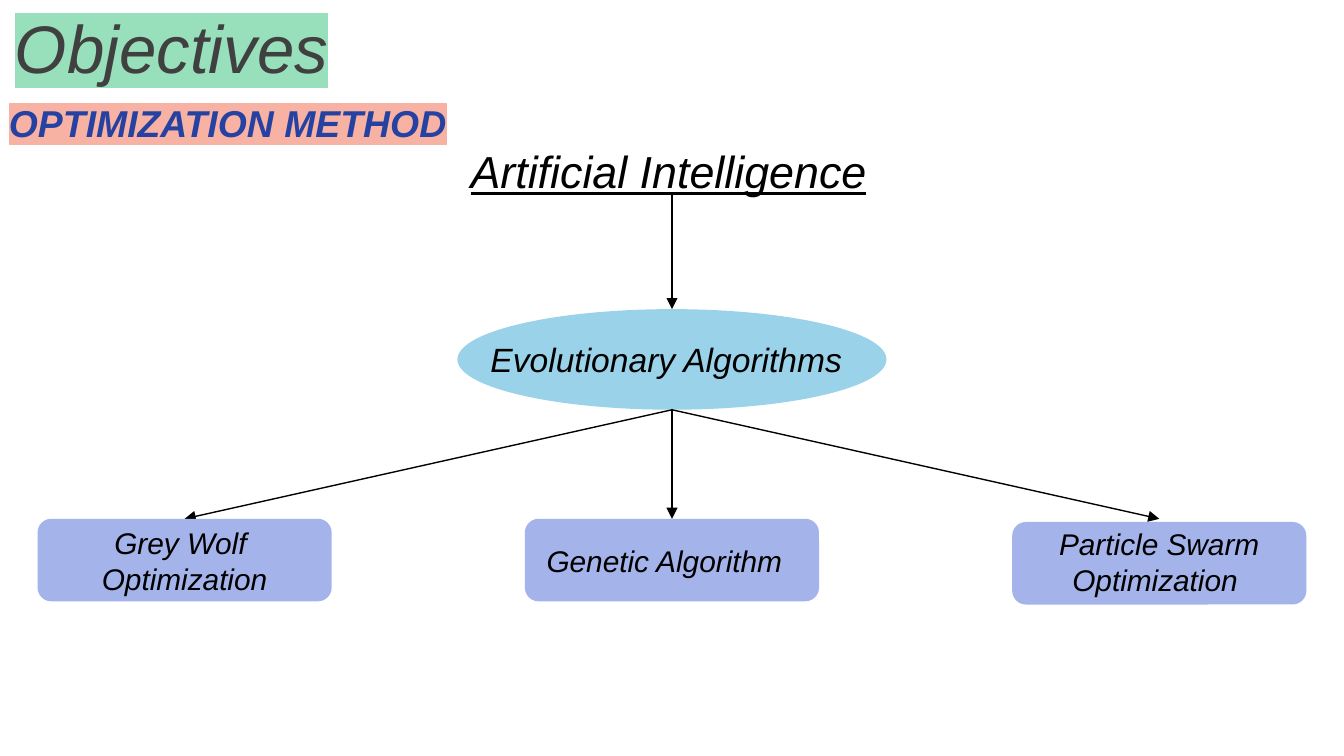
"""Build the optimization method slide with its tree of algorithms."""
from dataclasses import dataclass

from lxml import etree
from pptx import Presentation
from pptx.dml.color import RGBColor
from pptx.enum.shapes import MSO_CONNECTOR, MSO_SHAPE
from pptx.enum.text import MSO_ANCHOR, PP_ALIGN
from pptx.oxml.ns import qn
from pptx.util import Cm, Pt

LEFT, CENTER = PP_ALIGN.LEFT, PP_ALIGN.CENTER
TOP, MIDDLE = MSO_ANCHOR.TOP, MSO_ANCHOR.MIDDLE
ELLIPSE, ROUNDED = MSO_SHAPE.OVAL, MSO_SHAPE.ROUNDED_RECTANGLE
STRAIGHT = MSO_CONNECTOR.STRAIGHT


@dataclass(frozen=True)
class Theme:
    font: str = "Arial"
    ink: str = "000000"
    title: str = "404040"
    title_mark: str = "98DFBB"
    subtitle: str = "2542A2"
    subtitle_mark: str = "F8B2A3"
    root_fill: str = "9AD3E9"
    leaf_fill: str = "A4B4EA"
    title_size: int = 36
    subtitle_size: int = 20
    heading_size: int = 24
    root_size: int = 18
    leaf_size: int = 16
    line_width: float = 0.75


THEME = Theme()


def highlight(r, color):
    fill = r.font._element.find(qn("a:solidFill"))
    mark = etree.Element(qn("a:highlight"))
    etree.SubElement(mark, qn("a:srgbClr")).set("val", color)
    fill.addnext(mark)


def add_text(s, box, lines, size, color=THEME.ink, align=LEFT, anchor=TOP,
             bold=False, underline=False, mark=None, before=0):
    tf = s.shapes.add_textbox(*map(Cm, box)).text_frame
    tf.word_wrap = True
    tf.vertical_anchor = anchor
    tf.text = lines
    for p in tf.paragraphs:
        p.alignment = align
        p.space_before = Pt(before)
        for r in p.runs:
            font = r.font
            font.name, font.size = THEME.font, Pt(size)
            font.italic, font.bold, font.underline = True, bold, underline
            font.color.rgb = RGBColor.from_string(color)
            if mark:
                highlight(r, mark)


def add_node(s, kind, box, color):
    sp = s.shapes.add_shape(kind, *map(Cm, box))
    sp.shadow.inherit = False
    sp.fill.solid()
    sp.fill.fore_color.rgb = RGBColor.from_string(color)
    sp.line.fill.background()


def add_arrow(s, x1, y1, x2, y2):
    sp = s.shapes.add_connector(STRAIGHT, Cm(x1), Cm(y1), Cm(x2), Cm(y2))
    sp.line.color.rgb = RGBColor.from_string(THEME.ink)
    sp.line.width = Pt(THEME.line_width)
    ln = sp.line._get_or_add_ln()
    etree.SubElement(ln, qn("a:tailEnd")).set("type", "triangle")
    etree.SubElement(sp._element.spPr, qn("a:effectLst"))


def add_headings(s):
    add_text(s, (-1.3, -0.61, 9.09, 3), "Objectives", THEME.title_size,
             THEME.title, CENTER, MIDDLE, mark=THEME.title_mark, before=5)
    add_text(s, (-0.08, 1.76, 9.09, 1.1), "OPTIMIZATION METHOD",
             THEME.subtitle_size, THEME.subtitle, bold=True,
             mark=THEME.subtitle_mark)


def add_root(s, mid, top, height):
    width = 8.11
    left = mid - width / 2
    add_text(s, (left, 2.59, width, 1.27), "Artificial Intelligence",
             THEME.heading_size, underline=True)
    add_arrow(s, mid, 3.66, mid, top)
    add_node(s, ELLIPSE, (left, top, width, height), THEME.root_fill)
    add_text(s, (9.02, 6.27, 7.39, 1.02), "Evolutionary Algorithms",
             THEME.root_size)


def add_leaves(s, mid, root_bottom):
    width, height, step, top = 5.56, 1.56, 9.21, 9.8
    leaves = (
        ("Grey Wolf \nOptimization", top, (1.09, 9.78, 4.8, 1.63), CENTER),
        ("Genetic Algorithm", top, (10.08, 10.13, 5.56, 0.94), LEFT),
        ("Particle Swarm\nOptimization ", top + 0.06,
         (19.51, 9.8, 4.8, 1.63), CENTER),
    )
    for i, (label, y, box, align) in enumerate(leaves):
        x = mid + (i - 1) * step
        add_arrow(s, mid, root_bottom, x, top)
        add_node(s, ROUNDED, (x - width / 2, y, width, height),
                 THEME.leaf_fill)
        add_text(s, box, label, THEME.leaf_size, align=align)


def main():
    prs = Presentation()
    prs.slide_width, prs.slide_height = Cm(25.4), Cm(14.28)
    s = prs.slides.add_slide(prs.slide_layouts[6])
    mid, root_top, root_height = 12.7, 5.84, 1.9
    add_headings(s)
    add_root(s, mid, root_top, root_height)
    add_leaves(s, mid, root_top + root_height)
    prs.save("out.pptx")


if __name__ == "__main__":
    main()
